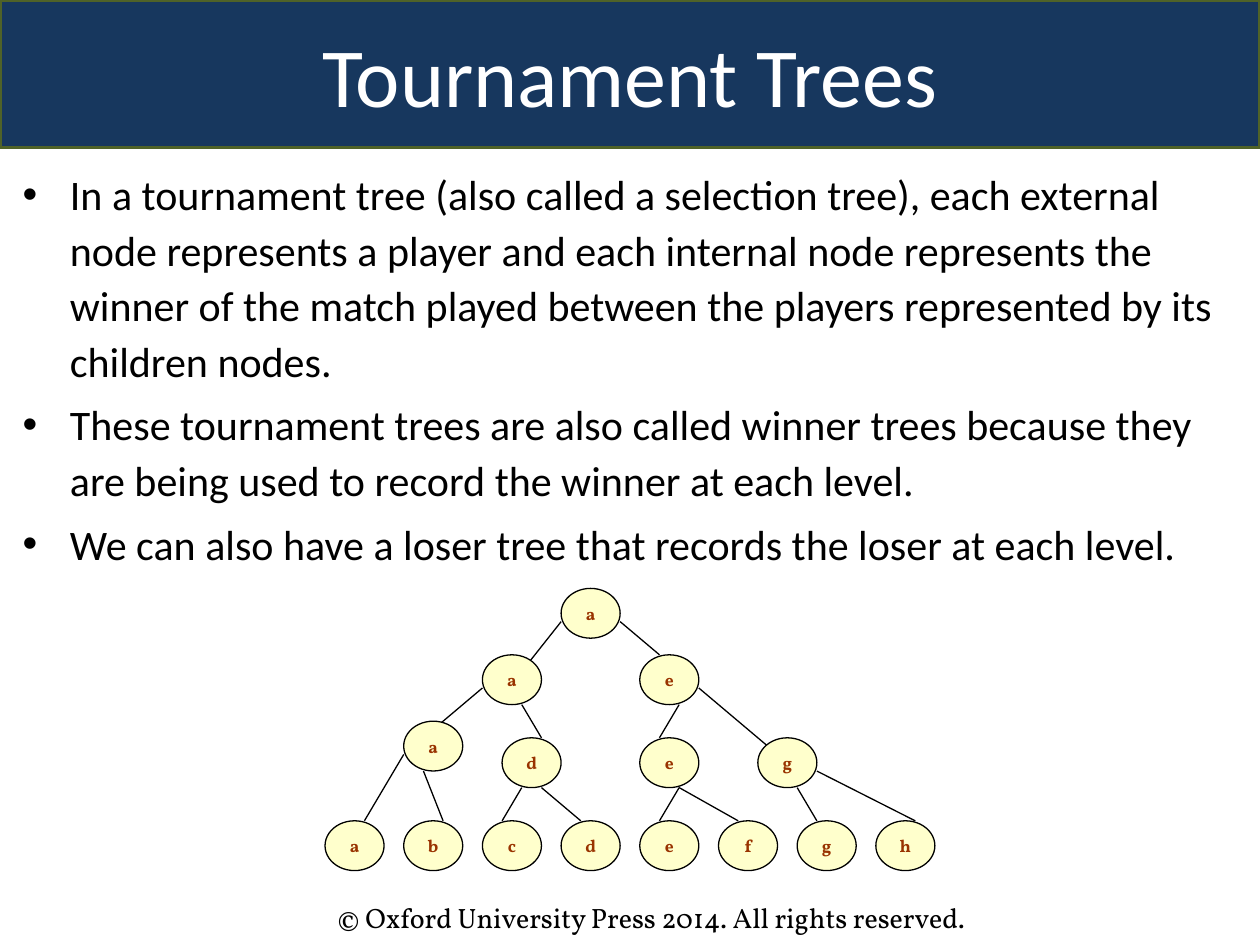
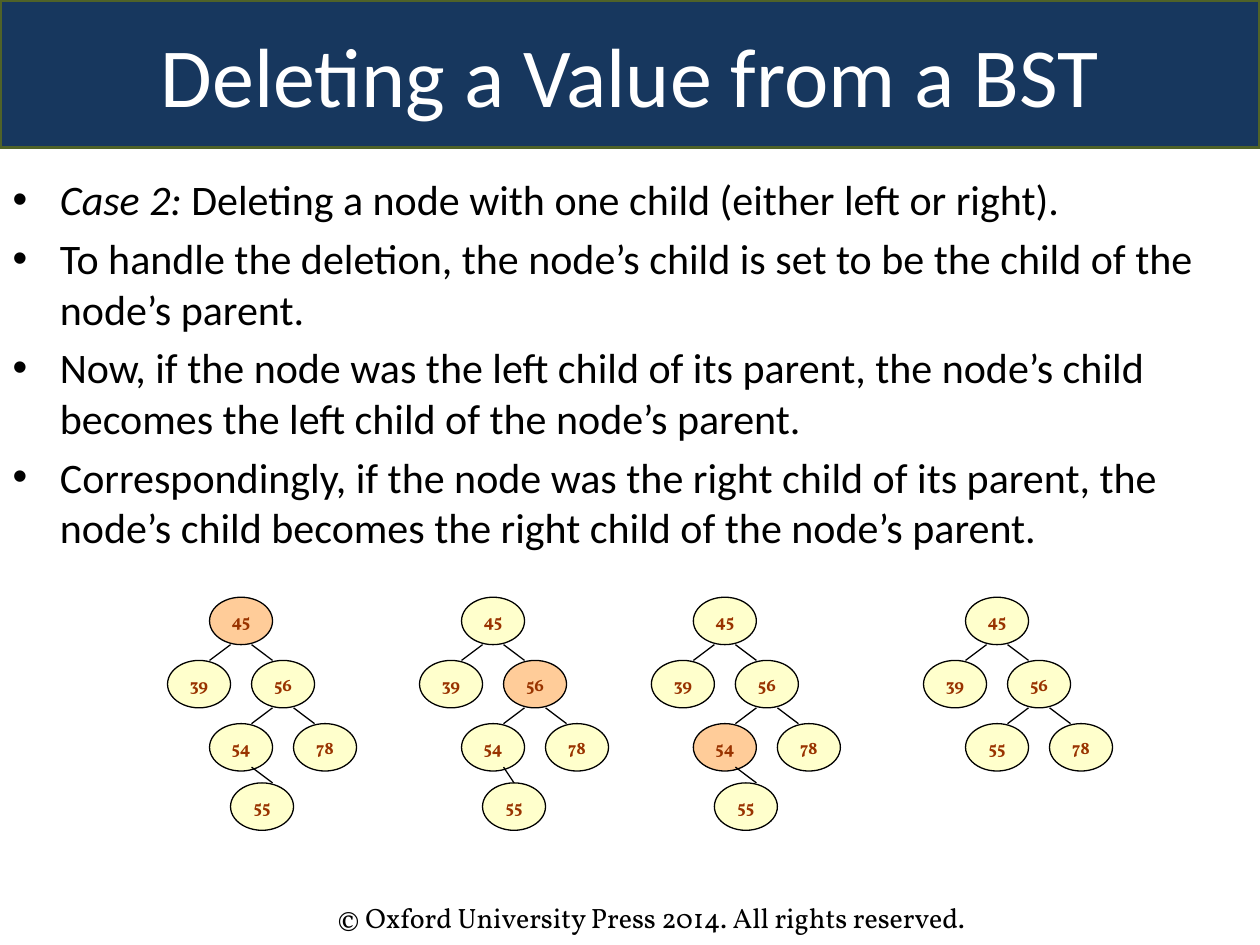
from lxml import etree
from pptx import Presentation
from pptx.dml.color import RGBColor
from pptx.enum.shapes import MSO_CONNECTOR, MSO_SHAPE
from pptx.enum.text import MSO_ANCHOR, MSO_AUTO_SIZE, PP_ALIGN
from pptx.oxml.ns import qn
from pptx.util import Inches, Pt

NAVY = RGBColor(0x17, 0x37, 0x5E)
OLIVE = RGBColor(0x4F, 0x62, 0x28)
WHITE = RGBColor(0xFF, 0xFF, 0xFF)
BLACK = RGBColor(0x00, 0x00, 0x00)
CREAM = RGBColor(0xFF, 0xFF, 0xCC)
PEACH = RGBColor(0xFF, 0xCC, 0x99)
RUST = RGBColor(0x99, 0x33, 0x00)

SANS = "Calibri"
SERIF = "Vollkorn"
CENTER = PP_ALIGN.CENTER
MIDDLE = MSO_ANCHOR.MIDDLE
NO_FIT = MSO_AUTO_SIZE.NONE
OVAL = MSO_SHAPE.OVAL
STRAIGHT = MSO_CONNECTOR.STRAIGHT

TITLE_BOX = (0, 0, 10, 1.17)
FOOTER_BOX = (2.58, 7.1, 5.92, 0.37)
FOOTER_TEXT = "© Oxford University Press 2014. All rights reserved."
NODE_SPAN = 3

TOURNAMENT_BULLETS = [
    ("", "In a tournament tree (also called a selection tree), each external node represents a player "
         "and each internal node represents the winner of the match played between the players "
         "represented by its children nodes."),
    ("", "These tournament trees are also called winner trees because they are being used to record "
         "the winner at each level."),
    ("", "We can also have a loser tree that records the loser at each level."),
]
TOURNAMENT_GRID = (31, 17)
TOURNAMENT_NODES = [
    ("a", 12, 0, None),
    ("a", 8, 4, (12, 2, 10, 5)),
    ("e", 16, 4, (15, 2, 17, 4)),
    ("a", 4, 8, (8, 6, 5, 9)),
    ("d", 9, 9, (10, 7, 11, 9)),
    ("e", 16, 9, (18, 7, 17, 9)),
    ("g", 22, 9, (19, 6, 23, 10)),
    ("a", 0, 14, (4, 10, 2, 14)),
    ("b", 4, 14, (5, 11, 6, 14)),
    ("c", 8, 14, (10, 12, 9, 14)),
    ("d", 12, 14, (11, 12, 13, 14)),
    ("e", 16, 14, (18, 12, 17, 14)),
    ("f", 20, 14, (18, 12, 21, 14)),
    ("g", 24, 14, (24, 12, 25, 14)),
    ("h", 28, 14, (25, 11, 30, 14)),
]

DELETION_BULLETS = [
    ("Case 2:", " Deleting a node with one child (either left or right)."),
    ("", "To handle the deletion, the node’s child is set to be the child of the node’s parent."),
    ("", "Now, if the node was the left child of its parent, the node’s child becomes the left child "
         "of the node’s parent."),
    ("", "Correspondingly, if the node was the right child of its parent, the node’s child becomes "
         "the right child of the node’s parent."),
]
DELETION_GRID = (9, 14.75)
DELETION_TOP_NODES = [
    ("45", 2, 0, None),
    ("39", 0, 4, (3, 3, 2, 4)),
    ("56", 4, 4, (4, 3, 5, 4)),
    ("78", 6, 8, (6, 7, 7, 8)),
]
DELETION_STEPS = [
    (1.33, "45", ["54", "55"], 11.75),
    (3.33, "56", ["54", "55"], 12.75),
    (5.17, "54", ["54", "55"], 11.75),
    (7.33, None, ["55"], None),
]


def place(shape, box):
    """Move and size a shape to a box given in inches."""
    shape.left, shape.top, shape.width, shape.height = map(Inches, box)


def style_font(font, name, size, color, bold=None):
    """Set the face, size and colour of a font."""
    font.name, font.size, font.bold = name, Pt(size), bold
    font.color.rgb = color


def paint(shape, fill, line, weight):
    """Set the fill and outline of a shape."""
    shape.fill.solid()
    shape.fill.fore_color.rgb = fill
    shape.line.color.rgb = line
    shape.line.width = Pt(weight)


def add_footer(slide, box):
    """Write the copyright line."""
    footer = slide.shapes.add_textbox(*map(Inches, box))
    footer.text_frame.word_wrap = True
    para = footer.text_frame.paragraphs[0]
    para.text = FOOTER_TEXT
    style_font(para.font, SERIF, 16, BLACK)


def fill_title(slide, text, box):
    """Turn the title placeholder into the navy band."""
    title = slide.shapes.title
    place(title, box)
    paint(title, NAVY, OLIVE, 2)
    title.text_frame.auto_size = NO_FIT
    title.text_frame.vertical_anchor = MIDDLE
    para = title.text_frame.paragraphs[0]
    para.text = text
    para.alignment = CENTER
    style_font(para.font, SANS, 48, WHITE)


def fill_bullets(slide, bullets, box, line_spacing):
    """Fill the body placeholder with bullets that may open in italics."""
    body = slide.placeholders[1]
    place(body, box)
    frame = body.text_frame
    frame.auto_size = NO_FIT
    for index, (lead, rest) in enumerate(bullets):
        para = frame.add_paragraph() if index else frame.paragraphs[0]
        para.line_spacing = line_spacing
        para.space_before = Pt(4.8 if index else 0)
        style_font(para.font, SANS, 24, BLACK)
        if lead:
            span = para.add_run()
            span.text = lead
            span.font.italic = True
        para.add_run().text = rest


def add_page(deck, title, bullets, body_box, line_spacing=1.0):
    """Add a slide with the shared band, bullets and footer."""
    slide = deck.slides.add_slide(deck.slide_layouts[1])
    fill_title(slide, title, TITLE_BOX)
    fill_bullets(slide, bullets, body_box, line_spacing)
    add_footer(slide, FOOTER_BOX)
    return slide


def add_edge(group, start, end):
    """Draw a thin black line between two points in inches."""
    edge = group.shapes.add_connector(STRAIGHT, *map(Inches, (*start, *end)))
    edge.line.color.rgb = BLACK
    edge.line.width = Pt(0.75)
    etree.SubElement(edge._element.spPr, qn("a:effectLst"))


def add_node(group, label, box, fill):
    """Draw one labelled tree node."""
    node = group.shapes.add_shape(OVAL, *map(Inches, box))
    node.shadow.inherit = False
    paint(node, fill, BLACK, 0.75)
    frame = node.text_frame
    frame.margin_left = frame.margin_right = frame.margin_top = frame.margin_bottom = 0
    frame.word_wrap = False
    frame.vertical_anchor = MIDDLE
    para = frame.paragraphs[0]
    para.text = label
    para.alignment = CENTER
    style_font(para.font, SERIF, 10, RUST, bold=True)


def add_tree(slide, box, grid, nodes, highlight=None):
    """Draw a tree on a unit grid, each edge just before its child node."""
    left, top, width, height = box
    unit_x, unit_y = width / grid[0], height / grid[1]
    group = slide.shapes.add_group_shape()

    def point(column, row):
        """Convert grid units to inches on the slide."""
        return left + column * unit_x, top + row * unit_y

    for label, column, row, edge in nodes:
        if edge:
            add_edge(group, point(*edge[:2]), point(*edge[2:]))
        node_box = (*point(column, row), NODE_SPAN * unit_x, NODE_SPAN * unit_y)
        add_node(group, label, node_box, PEACH if label == highlight else CREAM)


def deletion_nodes(chain, edge_end):
    """List the nodes of one deletion step, with its lower left chain."""
    nodes = DELETION_TOP_NODES + [(chain[0], 2, 8, (5, 7, 4, 8))]
    if len(chain) > 1:
        nodes.append((chain[1], 3, 11.75, (4, 10.75, 5, edge_end)))
    return nodes


def add_tournament_page(deck):
    """Build the slide about tournament trees."""
    slide = add_page(deck, "Tournament Trees", TOURNAMENT_BULLETS, (0.08, 1.25, 9.75, 2.33), 1.1)
    add_tree(slide, (2.58, 4.67, 4.84, 2.24), TOURNAMENT_GRID, TOURNAMENT_NODES)


def add_deletion_page(deck):
    """Build the slide about deleting a node with one child."""
    slide = add_page(deck, "Deleting a Value from a BST", DELETION_BULLETS, (0, 1.33, 9.75, 1.75))
    for left, highlight, chain, edge_end in DELETION_STEPS:
        nodes = deletion_nodes(chain, edge_end)
        add_tree(slide, (left, 4.74, 1.5, 1.85), DELETION_GRID, nodes, highlight)


def main():
    """Build and save the deck."""
    deck = Presentation()
    deck.slide_width, deck.slide_height = Inches(10), Inches(7.5)
    add_tournament_page(deck)
    add_deletion_page(deck)
    deck.save("out.pptx")


if __name__ == "__main__":
    main()
